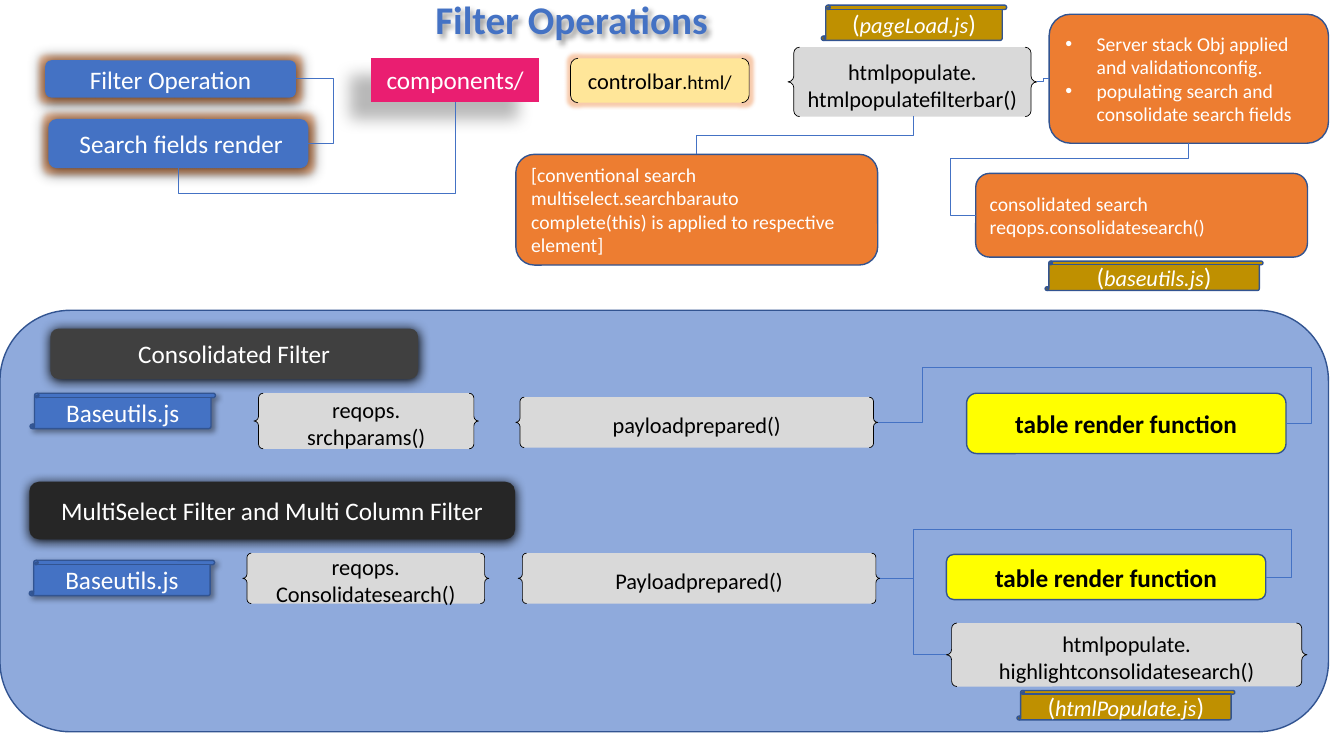
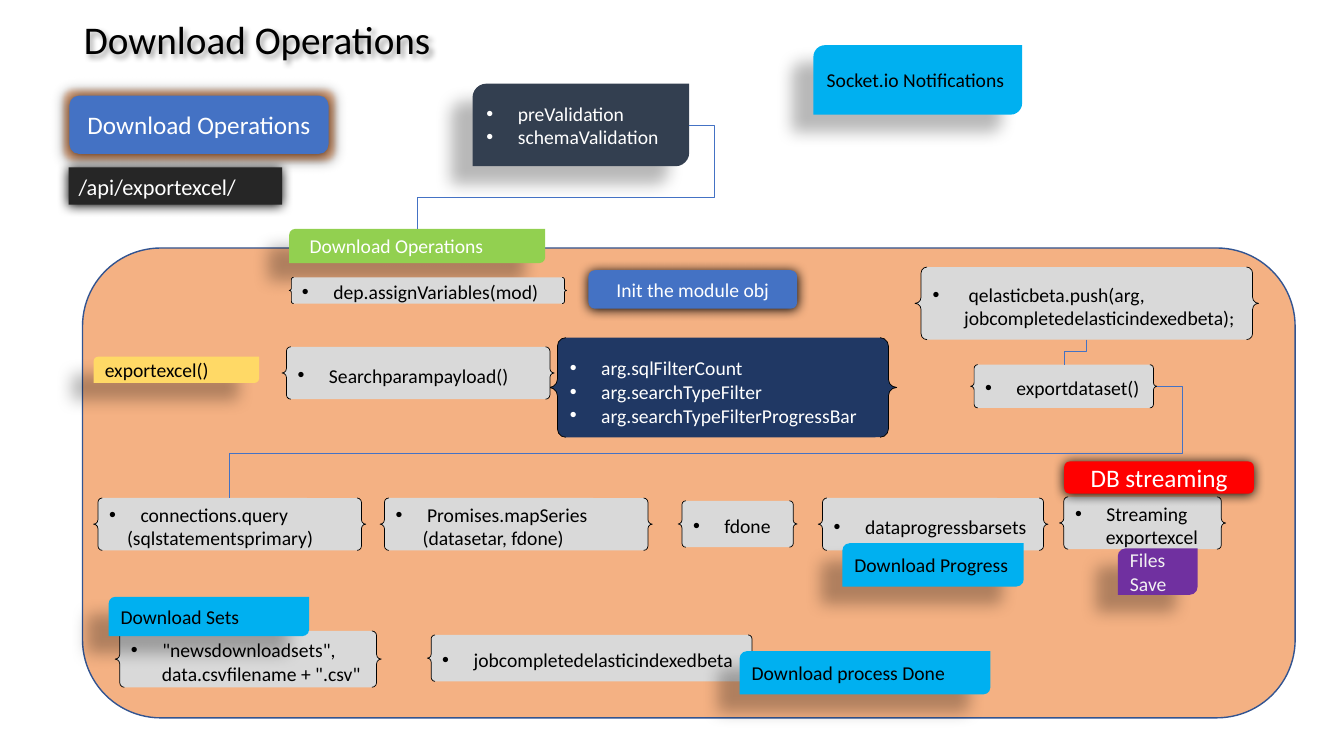
"""Build two flow slides on filter and download operations."""
from lxml import etree
from pptx import Presentation, util as u
from pptx.dml.color import RGBColor
from pptx.enum import shapes, text
from pptx.oxml.ns import qn

SHAPE = shapes.MSO_SHAPE
FONT = "Calibri"
WHITE, BLACK, BLUE, GREY, NAVY = "FFFFFF", "000000", "4472C4", "D9D9D9", "325491"
SKY, ORANGE, GOLD, INK = "00B0F0", "ED7D31", "BF9000", "262626"

SHADOWS = {
    "soft": dict(alpha=40, blur=4, dist=3, angle=45),
    "halo": dict(alpha=100, blur=8.5, dist=1, angle=90),
    "cast": dict(alpha=28, blur=11.8, dist=19.7, angle=141),
}

BASE = dict(form=SHAPE.ROUNDED_RECTANGLE, fill=None, line=None, shadow=None, glow=0,
            size=18, color=WHITE, bold=False, align="CENTER", anchor="MIDDLE",
            bullet=False, spacing=None)
BUTTON = dict(form=SHAPE.FLOWCHART_ALTERNATE_PROCESS, fill=BLUE, shadow="halo")
SCROLL = dict(form=SHAPE.VERTICAL_SCROLL, line=(NAVY, 1))
BRACE = dict(form=SHAPE.DOUBLE_BRACE, fill=GREY, line=(BLACK, 0.5), color=BLACK, size=16)
STEP = {**BRACE, "size": 14, "align": "LEFT", "bullet": True}
NOTE = dict(fill=ORANGE, line=(NAVY, 1), size=14, align="LEFT")
TAG = dict(form=SHAPE.ROUND_2_DIAG_RECTANGLE, fill=SKY, shadow="cast", size=14,
           color=BLACK, align="LEFT")
TITLE = dict(form=None, shadow="soft", size=28, anchor="BOTTOM", spacing=0.9)

STYLES = {
    "filter title": {**TITLE, "color": BLUE, "bold": True, "align": "LEFT"},
    "download title": {**TITLE, "color": BLACK},
    "blue panel": dict(fill="8FAADC", line=(NAVY, 1)),
    "orange panel": dict(fill="F4B183", line=(NAVY, 1)),
    "start": {**BUTTON, "glow": 8},
    "grey heading": {**BUTTON, "fill": "404040"},
    "black heading": {**BUTTON, "fill": INK},
    "init": dict(fill=BLUE, shadow="halo", size=14),
    "stream": dict(fill="FF0000", shadow="halo"),
    "endpoint": dict(form=SHAPE.RECTANGLE, fill=INK, shadow="halo", size=16, align="LEFT"),
    "folder": dict(form=SHAPE.FLOWCHART_PROCESS, fill="EA1E71", shadow="cast"),
    "template": dict(form=SHAPE.DOUBLE_BRACKET, fill="FFE699", line=(BLACK, 0.5),
                     color=BLACK, size=16, glow=5),
    "script": {**SCROLL, "fill": BLUE, "shadow": "soft"},
    "file": {**SCROLL, "fill": GOLD},
    "call": BRACE,
    "render": dict(fill="FFFF00", line=(NAVY, 1), color=BLACK, bold=True),
    "note": NOTE,
    "bullet note": {**NOTE, "bullet": True},
    "step": STEP,
    "arguments": {**STEP, "fill": "203864", "color": WHITE},
    "event": TAG,
    "validation": {**TAG, "fill": "333F50", "color": WHITE, "bullet": True},
    "phase": {**TAG, "fill": "92D050", "color": WHITE},
    "function": {**TAG, "fill": "FFD966"},
    "save": {**TAG, "fill": "7030A0", "color": "F2F2F2"},
}


def file_name(name):
    """Return the runs of a file name in brackets."""
    return [("(", {}), (name, dict(size=u.Pt(16), italic=True)), (")", {})]


FILTER_BOXES = [
    ("blue panel", 0, 7.82, 33.48, 10.62),
    ("filter title", 10.72, 0, 20, 1.22, "Filter Operations"),
    ("start", 1.14, 1.52, 6.32, 0.94, "Filter Operation"),
    ("start", 1.22, 3, 6.55, 1.24, " Search fields render"),
    ("folder", 9.35, 1.45, 4.24, 1.12, "components/"),
    ("template", 14.38, 1.47, 4.5, 1.12,
     [("controlbar", {}), (".html/", dict(size=u.Pt(14)))]),
    ("call", 19.86, 1.19, 6.27, 1.75, "htmlpopulate.", "htmlpopulatefilterbar()"),
    ("bullet note", 26.44, 0.36, 7.04, 3.25,
     "Server stack Obj applied and validationconfig.",
     "populating search and consolidate search fields"),
    ("file", 20.7, 0.13, 4.67, 0.89, file_name("pageLoad.js")),
    ("note", 13, 3.89, 9.12, 2.79, "[conventional search multiselect.searchbarauto",
     "complete(this) is applied to respective element]"),
    ("note", 24.59, 4.37, 8.36, 2.11, "consolidated search reqops.consolidatesearch()"),
    ("file", 26.34, 6.58, 5.49, 0.74, file_name("baseutils.js")),
    ("grey heading", 1.27, 8.28, 9.27, 1.27, "Consolidated Filter"),
    ("script", 0.76, 9.91, 4.67, 0.89, "Baseutils.js"),
    ("call", 6.4, 9.91, 5.66, 1.4, "reqops.", "srchparams()"),
    ("call", 13, 10.01, 9.12, 1.27, "payloadprepared()"),
    ("render", 24.36, 9.91, 8.05, 1.52, "table render function"),
    ("black heading", 0.74, 12.14, 12.24, 1.45, "MultiSelect Filter and Multi Column Filter"),
    ("script", 0.74, 14.12, 4.67, 0.89, "Baseutils.js"),
    ("call", 6.12, 13.94, 6.2, 1.27, "reqops. Consolidatesearch()"),
    ("call", 13.06, 13.94, 9.12, 1.27, "Payloadprepared()"),
    ("render", 23.85, 13.97, 8.05, 1.14, "table render function"),
    ("call", 23.85, 15.7, 9.09, 1.6, "htmlpopulate.", "highlightconsolidatesearch()"),
    ("file", 25.63, 17.4, 5.49, 0.74, file_name("htmlPopulate.js")),
]
FILTER_ROUTES = [
    ("across", (7.47, 1.98), (7.77, 3.61), [8.41]),
    ("down", (4.5, 4.24), (11.48, 2.57), [4.88]),
    ("across", (26.14, 2.06), (26.44, 1.98), [26.29]),
    ("down", (23.01, 2.92), (17.55, 3.89), [3.4]),
    ("down", (29.95, 3.61), (24.59, 5.44), [3.99, 23.95]),
    ("across", (22.12, 10.64), (32.41, 10.67), [23.24, 9.27, 33.05]),
    ("across", (22.17, 14.58), (31.9, 14.55), [23.01, 13.34, 32.54]),
    ("across", (22.17, 14.58), (23.85, 16.48), [23.01]),
]
DOWNLOAD_BOXES = [
    ("orange panel", 2.08, 6.25, 30.56, 11.84),
    ("download title", 1.07, 0.36, 10.82, 1.35, "Download Operations"),
    ("start", 1.75, 2.41, 6.53, 1.47, "Download Operations"),
    ("endpoint", 1.73, 4.22, 5.38, 0.94, "/api/exportexcel/"),
    ("validation", 11.91, 2.11, 5.46, 2.08, "preValidation", "schemaValidation"),
    ("event", 20.5, 1.14, 5.26, 1.75, "Socket.io Notifications"),
    ("phase", 7.29, 5.77, 6.45, 0.86, (0.22, "Download Operations")),
    ("step", 7.29, 6.99, 6.99, 0.66, "dep.assignVariables(mod)"),
    ("init", 14.83, 6.81, 5.26, 0.97, "Init the module obj"),
    ("function", 2.36, 8.99, 4.17, 0.66, "exportexcel()"),
    ("arguments", 13.84, 8.51, 8.76, 2.51,
     "arg.sqlFilterCount", "arg.searchTypeFilter", "arg.searchTypeFilterProgressBar"),
    ("step", 7.11, 8.74, 6.86, 1.32, "Searchparampayload()"),
    ("step", 23.06, 6.73, 8.66, 1.83,
     " qelasticbeta.push(arg, jobcompletedelasticindexedbeta);"),
    ("step", 24.46, 9.19, 4.7, 1.09, "exportdataset()"),
    ("step", 2.36, 12.55, 6.86, 1.32, "connections.query", (0.45, "(sqlstatementsprimary)")),
    ("step", 9.58, 12.55, 6.86, 1.32, "Promises.mapSeries", (0.68, "(datasetar, fdone)")),
    ("step", 17.09, 12.62, 3, 1.17, "fdone"),
    ("step", 20.62, 12.55, 5.79, 1.32, "dataprogressbarsets"),
    ("step", 26.7, 12.52, 4.19, 1.32, "Streaming", (0.78, "exportexcel")),
    ("step", 2.9, 15.9, 6.71, 1.42, '"newsdownloadsets",', (0.78, 'data.csvfilename + ".csv"')),
    ("step", 10.77, 16, 8.28, 1.17, "jobcompletedelasticindexedbeta"),
    ("event", 18.64, 16.41, 6.32, 1.09, "Download process Done"),
    ("event", 2.74, 15.04, 5.05, 0.99, "Download Sets"),
    ("event", 21.23, 13.69, 4.57, 1.09, "Download Progress"),
    ("save", 28.17, 13.82, 2.01, 1.17, "Files Save"),
    ("stream", 26.82, 11.63, 4.78, 0.81, "DB streaming"),
]
DOWNLOAD_ROUTES = [
    ("across", (17.37, 3.15), (10.52, 5.77), [18.01, 4.98]),
    ("down", (27.38, 8.56), (26.82, 9.19), [8.86]),
    ("down", (5.79, 12.55), (29.16, 9.75), [11.43, 29.79]),
]


def rgb(value):
    """Turn a hex string into a colour."""
    return RGBColor.from_string(value)


def add_xml(parent, tag, **values):
    """Append a child element with the given attributes."""
    return etree.SubElement(parent, qn(tag), {key: str(value) for key, value in values.items()})


def add_effect(effects, tag, color, alpha, **values):
    """Append one glow or shadow to an effect list."""
    tint = add_xml(add_xml(effects, tag, **values), "a:srgbClr", val=color)
    add_xml(tint, "a:alpha", val=alpha * 1000)


def add_effects(box, style):
    """Give a box its glow and shadow."""
    box.shadow.inherit = False
    effects = box.element.spPr.find(qn("a:effectLst"))
    if style["glow"]:
        add_effect(effects, "a:glow", ORANGE, 40, rad=u.Pt(style["glow"]))
    if style["shadow"]:
        shade = SHADOWS[style["shadow"]]
        add_effect(effects, "a:outerShdw", BLACK, shade["alpha"], blurRad=u.Pt(shade["blur"]),
                   dist=u.Pt(shade["dist"]), dir=shade["angle"] * 60000, rotWithShape=0)


def write_line(para, line, style):
    """Write one paragraph: text, a list of runs, or (indent, text)."""
    bullet, indent = style["bullet"], 0.79 if style["bullet"] else 0
    if isinstance(line, tuple):
        indent, line = line
        bullet = False
    props = para._p.get_or_add_pPr()
    if indent:
        props.set("marL", str(u.Cm(indent)))
    if bullet:
        props.set("indent", str(-u.Cm(indent)))
        add_xml(props, "a:buFont", typeface="Arial")
        add_xml(props, "a:buChar", char="•")
    para.alignment = getattr(text.PP_ALIGN, style["align"])
    if style["spacing"]:
        para.line_spacing = style["spacing"]
    base = dict(name=FONT, size=u.Pt(style["size"]), bold=style["bold"])
    for words, changes in [(line, {})] if isinstance(line, str) else line:
        span = para.add_run()
        span.text = words
        for key, value in {**base, **changes}.items():
            setattr(span.font, key, value)
        span.font.color.rgb = rgb(style["color"])


def add_box(page, name, left, top, width, height, *lines):
    """Draw one styled box with its paragraphs."""
    style = {**BASE, **STYLES[name]}
    place = [u.Cm(value) for value in (left, top, width, height)]
    if style["form"] is None:
        box = page.shapes.add_textbox(*place)
        box.text_frame.margin_top = 0
    else:
        box = page.shapes.add_shape(style["form"], *place)
        box.fill.solid()
        box.fill.fore_color.rgb = rgb(style["fill"])
        if style["line"]:
            color, weight = style["line"]
            box.line.color.rgb = rgb(color)
            box.line.width = u.Pt(weight)
        else:
            box.line.fill.background()
    add_effects(box, style)
    frame = box.text_frame
    frame.word_wrap = True
    frame.vertical_anchor = getattr(text.MSO_ANCHOR, style["anchor"])
    for index, line in enumerate(lines):
        para = frame.add_paragraph() if index else frame.paragraphs[0]
        write_line(para, line, style)


def add_route(page, direction, start, end, turns):
    """Draw an elbow line; turns alternate between the two axes."""
    axis = 1 if direction == "down" else 0
    spans = [last - first for first, last in zip(start, end)]
    middle = [(first + last) / 2 for first, last in zip(start, end)]
    across, down = (spans[1], -spans[0]) if axis else spans
    ends = [middle[i] + side * size / 2
            for side in (-1, 1) for i, size in enumerate((across, down))]
    route = page.shapes.add_connector(shapes.MSO_CONNECTOR.ELBOW, *map(u.Cm, ends))
    route.line.color.rgb = rgb(BLUE)
    route.line.width = u.Pt(0.5)
    props = route.element.spPr
    add_xml(props, "a:effectLst")
    if axis:
        props.find(qn("a:xfrm")).set("rot", str(90 * 60000))
    outline = props.find(qn("a:prstGeom"))
    outline.set("prst", f"bentConnector{len(turns) + 2}")
    guides = outline.find(qn("a:avLst"))
    for index, turn in enumerate(turns):
        side = (axis + index) % 2
        share = round((turn - start[side]) / spans[side] * 100000)
        add_xml(guides, "a:gd", name=f"adj{index + 1}", fmla=f"val {share}")


def main():
    """Build and save the deck."""
    deck = Presentation()
    deck.slide_width, deck.slide_height = u.Cm(33.87), u.Cm(19.05)
    for boxes, routes in ((FILTER_BOXES, FILTER_ROUTES), (DOWNLOAD_BOXES, DOWNLOAD_ROUTES)):
        page = deck.slides.add_slide(deck.slide_layouts[6])
        for item in boxes:
            add_box(page, *item)
        for item in routes:
            add_route(page, *item)
    deck.save("out.pptx")


if __name__ == "__main__":
    main()
